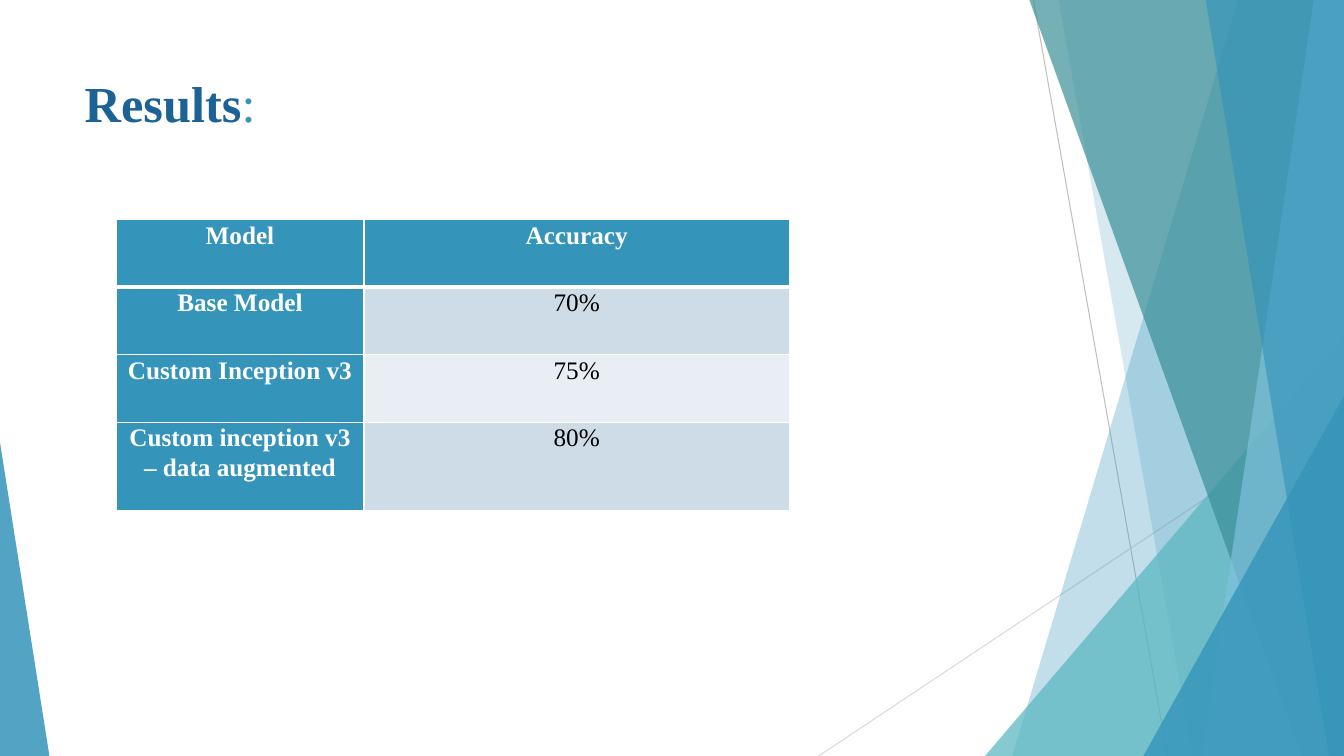
from lxml import etree
from pptx import Presentation
from pptx.dml.color import RGBColor
from pptx.enum.shapes import MSO_CONNECTOR, MSO_SHAPE
from pptx.enum.text import MSO_ANCHOR, PP_ALIGN
from pptx.oxml.ns import qn
from pptx.util import Inches, Pt

BLUE = RGBColor(0x34, 0x94, 0xBA)
DARK_BLUE = RGBColor(0x1D, 0x62, 0x94)
LIGHT_BLUE = RGBColor(0x7F, 0xC1, 0xDB)
TEAL = RGBColor(0x58, 0xB6, 0xC0)
DARK_TEAL = RGBColor(0x3A, 0x8F, 0x98)
GRAY = RGBColor(0xBF, 0xBF, 0xBF)
LIGHT_GRAY = RGBColor(0xD9, 0xD9, 0xD9)
BAND_DARK = RGBColor(0xCE, 0xDC, 0xE7)
BAND_LIGHT = RGBColor(0xE8, 0xEE, 0xF3)
WHITE = RGBColor(0xFF, 0xFF, 0xFF)
BLACK = RGBColor(0, 0, 0)
FONT = "Times New Roman"
WIDTH, HEIGHT = 13.33, 7.5


def paint(shape, color, opacity):
    """Fill a shape with a translucent colour, without line or shadow."""
    shape.shadow.inherit = False
    shape.line.fill.background()
    shape.fill.solid()
    shape.fill.fore_color.rgb = color
    color_element = shape.fill._xPr.find(qn("a:solidFill"))[0]
    etree.SubElement(color_element, qn("a:alpha"), val=str(opacity * 1000))


def add_border(cell, side, points):
    """Draw a white border on one side of a table cell."""
    border = etree.SubElement(cell._tc.get_or_add_tcPr(), qn(f"a:ln{side}"),
                              w=str(Pt(points)))
    fill = etree.SubElement(border, qn("a:solidFill"))
    etree.SubElement(fill, qn("a:srgbClr"), val=str(WHITE))


presentation = Presentation()
presentation.slide_width = Inches(WIDTH)
presentation.slide_height = Inches(HEIGHT)
slide = presentation.slides.add_slide(presentation.slide_layouts[5])
shapes = slide.shapes

# Thin lines behind the ribbons
for x1, y1, x2, y2, color in [
    (10.25, 0, 11.58, HEIGHT, GRAY),
    (WIDTH, 4.03, 8.12, HEIGHT, LIGHT_GRAY),
]:
    line = shapes.add_connector(MSO_CONNECTOR.STRAIGHT, Inches(x1), Inches(y1),
                                Inches(x2), Inches(y2))
    line.line.color.rgb = color
    line.line.width = Pt(0.75)
    etree.SubElement(line._element.spPr, qn("a:effectLst"))

# Ribbons reach the right edge: (top left x, bottom left x, colour, opacity)
# Triangles: (left, top, width, apex, colour, opacity)
for piece in [
    (12.28, 10.04, BLUE, 30),
    (10.5, 11.83, BLUE, 20),
    (9.77, 3.33, 3.56, 1, TEAL, 72),
    (10.21, 12.91, DARK_TEAL, 70),
    (13.03, 11.92, LIGHT_BLUE, 70),
    (11.96, 13.18, BLUE, 65),
    (11.34, 3.93, 1.99, 1, BLUE, 80),
    (0, 4.39, 0.49, 0, BLUE, 85),
]:
    *geometry, color, opacity = piece
    if len(geometry) == 2:
        top_x, bottom_x = geometry
        builder = shapes.build_freeform(Inches(top_x), 0)
        builder.add_line_segments([
            (Inches(WIDTH), 0),
            (Inches(WIDTH), Inches(HEIGHT)),
            (Inches(bottom_x), Inches(HEIGHT)),
        ], close=True)
        shape = builder.convert_to_shape()
    else:
        left, top, width, apex = geometry
        shape = shapes.add_shape(MSO_SHAPE.ISOSCELES_TRIANGLE, Inches(left), Inches(top),
                                 Inches(width), Inches(HEIGHT - top))
        shape.adjustments[0] = apex
    paint(shape, color, opacity)

# Title
title = shapes.title
title.left, title.top = Inches(0.74), Inches(0.67)
title.width, title.height = Inches(8.64), Inches(0.94)
title.text_frame.vertical_anchor = MSO_ANCHOR.TOP
paragraph = title.text_frame.paragraphs[0]
paragraph.alignment = PP_ALIGN.LEFT
paragraph.font.name = FONT
paragraph.font.size = Pt(36)
for text, color, bold in [("Results", DARK_BLUE, True), (":", BLUE, False)]:
    run = paragraph.add_run()
    run.text = text
    run.font.name = FONT
    run.font.size = Pt(36)
    run.font.color.rgb = color
    run.font.bold = bold

# Results table
results = [
    ("Model", "Accuracy"),
    ("Base Model", "70%"),
    ("Custom Inception v3", "75%"),
    ("Custom inception v3 – data augmented", "80%"),
]
table = shapes.add_table(len(results), 2, Inches(1.15), Inches(2.18),
                         Inches(6.68), Inches(2.89)).table
table.first_col = True
for column, width in zip(table.columns, (2.46, 4.22)):
    column.width = Inches(width)
for row, height in zip(table.rows, (0.67, 0.67, 0.67, 0.88)):
    row.height = Inches(height)

for row_index, values in enumerate(results):
    for column_index, value in enumerate(values):
        heading = row_index == 0 or column_index == 0
        cell = table.cell(row_index, column_index)
        cell.margin_left = cell.margin_right = Inches(0.07)
        cell.margin_top = cell.margin_bottom = 0
        for side in "LRTB":
            header_edge = (side == "B" and row_index == 0) or (side == "T" and row_index == 1)
            add_border(cell, side, 3 if header_edge else 1)
        cell.fill.solid()
        band = BAND_DARK if row_index % 2 else BAND_LIGHT
        cell.fill.fore_color.rgb = BLUE if heading else band
        cell.text = value
        paragraph = cell.text_frame.paragraphs[0]
        paragraph.alignment = PP_ALIGN.CENTER
        paragraph.line_spacing = 1.07
        paragraph.font.name = FONT
        paragraph.font.size = Pt(18)
        paragraph.font.bold = heading
        paragraph.font.color.rgb = WHITE if heading else BLACK

presentation.save("out.pptx")
